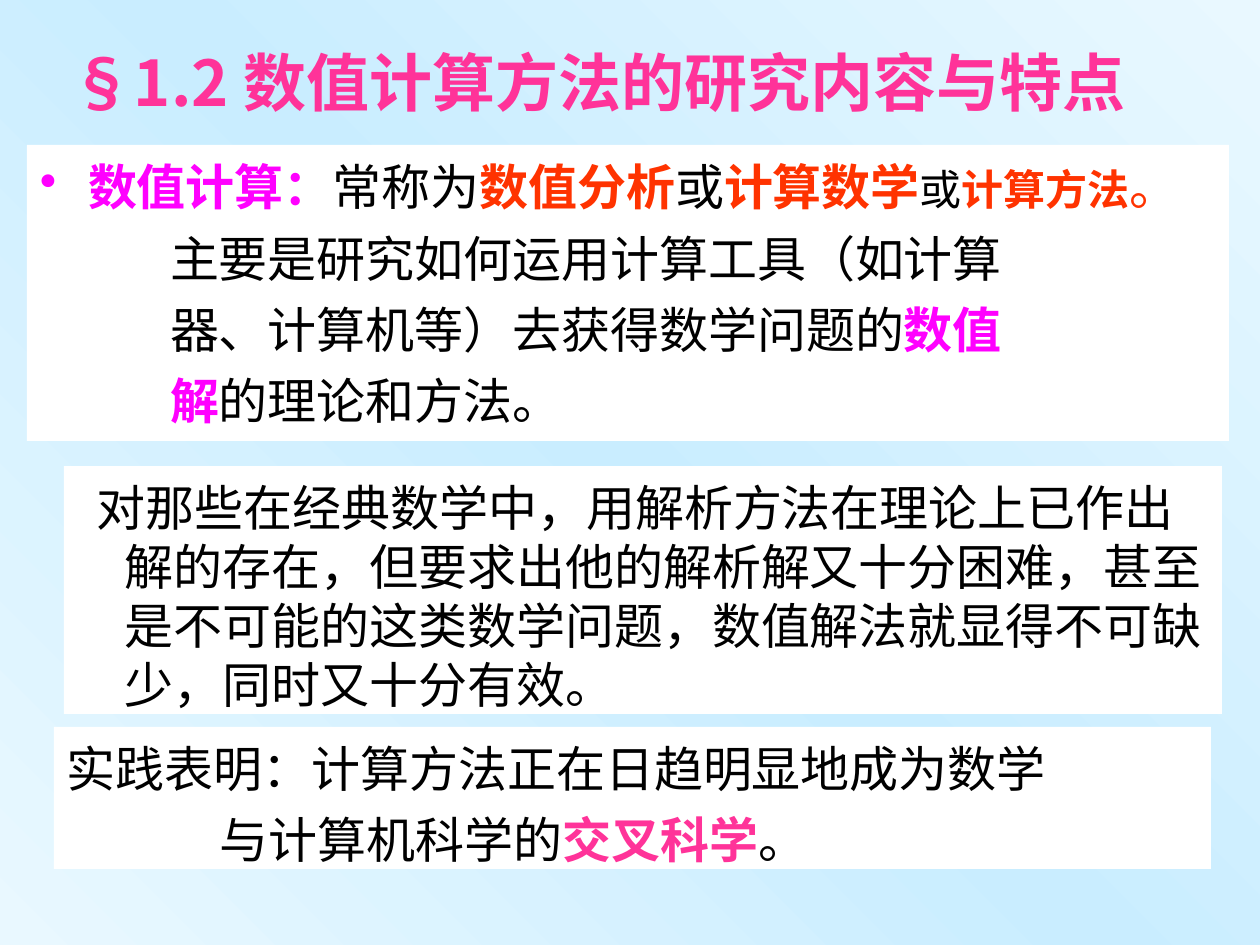
from copy import deepcopy

from lxml import etree
from pptx import Presentation
from pptx.dml.color import RGBColor
from pptx.enum.shapes import MSO_SHAPE
from pptx.enum.text import MSO_ANCHOR, MSO_AUTO_SIZE, PP_ALIGN
from pptx.oxml.ns import qn
from pptx.util import Emu, Pt

RECTANGLE = MSO_SHAPE.RECTANGLE
TOP = MSO_ANCHOR.TOP
LEFT = PP_ALIGN.LEFT
NO_FIT = MSO_AUTO_SIZE.NONE

EMU_PER_PX = 914400 / 126
SANS, SERIF = "Noto Sans CJK SC", "Times New Roman"
BLACK, WHITE = "000000", "FFFFFF"
MAGENTA, ORANGE, PINK = "FF00FF", "FF3300", "FF3399"
PALE, SKY = "E9F8FF", "C9EDFF"

PLAIN = dict(size=28, name=SANS, color=BLACK, bold=False)
TERM = PLAIN | dict(color=MAGENTA, bold=True)
ALIAS = PLAIN | dict(color=ORANGE, bold=True)
CROSS = PLAIN | dict(color=PINK, bold=True)
HEADING = CROSS | dict(size=36)

DEFINITION = [
    dict(left=48, first=-48, bullet=MAGENTA, spans=[
        ("数值计算：", TERM | dict(name=SERIF)),
        ("常称为", PLAIN),
        ("数值分析", ALIAS),
        ("或", PLAIN),
        ("计算数学", ALIAS),
        ("或", PLAIN | dict(size=24, name=SERIF)),
        ("计算方法", ALIAS | dict(size=24, name=SERIF)),
        ("。", ALIAS | dict(bold=False)),
    ]),
    dict(left=130, spans=[("主要是研究如何运用计算工具（如计算", PLAIN)]),
    dict(left=130, spans=[("器、计算机等）去获得数学问题的", PLAIN), ("数值", TERM)]),
    dict(left=130, spans=[("解", TERM), ("的理论和方法。", PLAIN)]),
]
NECESSITY = [
    dict(left=48, first=-28, spans=[
        ("对那些在经典数学中，用解析方法在理论上已作出解的存在，"
         "但要求出他的解析解又十分困难，甚至是不可能的这类数学问题，"
         "数值解法就显得不可缺少，同时又十分有效。", PLAIN),
    ]),
]
PRACTICE = [
    dict(spans=[("实践表明：计算方法正在日趋明显地成为数学", PLAIN)]),
    dict(left=153, spans=[("与计算机科学的", PLAIN), ("交叉科学", CROSS), ("。", PLAIN)]),
]
TITLE = [dict(spans=[("§1.2 数值计算方法的研究内容与特点", HEADING)])]


def px(length):
    return Emu(round(length * EMU_PER_PX))


def rgb(value):
    return RGBColor.from_string(value)


def set_values(target, values):
    for name, value in values.items():
        setattr(target, name, value)


def paint_background(slide):
    fill = slide.background.fill
    fill.gradient()
    fill.gradient_angle = 45
    stop_list = slide.element.find(".//" + qn("a:gsLst"))
    stop_list.append(deepcopy(stop_list[0]))
    stops = zip(fill.gradient_stops, (0, 0.5, 1), (PALE, SKY, PALE))
    for stop, position, color in stops:
        stop.position = position
        stop.color.rgb = rgb(color)


def add_bullet(properties, color):
    bullet_color = etree.SubElement(properties, qn("a:buClr"))
    etree.SubElement(bullet_color, qn("a:srgbClr"), val=color)
    etree.SubElement(properties, qn("a:buChar"), char="•")


def add_span(para, text, style):
    span = para.add_run()
    span.text = text
    set_values(span.font, dict(size=Pt(style["size"]), name=style["name"], bold=style["bold"]))
    span.font.color.rgb = rgb(style["color"])
    etree.SubElement(span.font._element, qn("a:ea"), typeface=SANS)


def write_paragraphs(box, lines, top_inset):
    frame = box.text_frame
    set_values(frame, dict(
        word_wrap=True, auto_size=NO_FIT, vertical_anchor=TOP,
        margin_left=px(13), margin_right=px(13),
        margin_top=px(top_inset), margin_bottom=px(6),
    ))
    for index, line in enumerate(lines):
        para = frame.add_paragraph() if index else frame.paragraphs[0]
        size = line["spans"][0][1]["size"]
        set_values(para, dict(
            alignment=LEFT, line_spacing=Pt(size * 1.2),
            space_before=Pt(7 if index else 0),
        ))
        properties = para._p.get_or_add_pPr()
        properties.set("marL", str(px(line.get("left", 0))))
        properties.set("indent", str(px(line.get("first", 0))))
        if "bullet" in line:
            add_bullet(properties, line["bullet"])
        for text, style in line["spans"]:
            add_span(para, text, style)


def add_panel(slide, bounds, lines):
    box = slide.shapes.add_shape(RECTANGLE, *map(px, bounds))
    box.shadow.inherit = False
    box.fill.solid()
    box.fill.fore_color.rgb = rgb(WHITE)
    box.line.fill.background()
    write_paragraphs(box, lines, 12)


def place_title(slide, bounds, lines):
    title = slide.shapes.title
    set_values(title, dict(zip(("left", "top", "width", "height"), map(px, bounds))))
    write_paragraphs(title, lines, 13)


def main():
    deck = Presentation()
    set_values(deck, dict(slide_width=px(1260), slide_height=px(945)))
    slide = deck.slides.add_slide(deck.slide_layouts[5])
    paint_background(slide)
    place_title(slide, (58, 30, 1125, 88), TITLE)
    add_panel(slide, (27, 145, 1202, 296), DEFINITION)
    add_panel(slide, (54, 727, 1157, 142), PRACTICE)
    add_panel(slide, (64, 466, 1158, 248), NECESSITY)
    deck.save("out.pptx")


if __name__ == "__main__":
    main()
